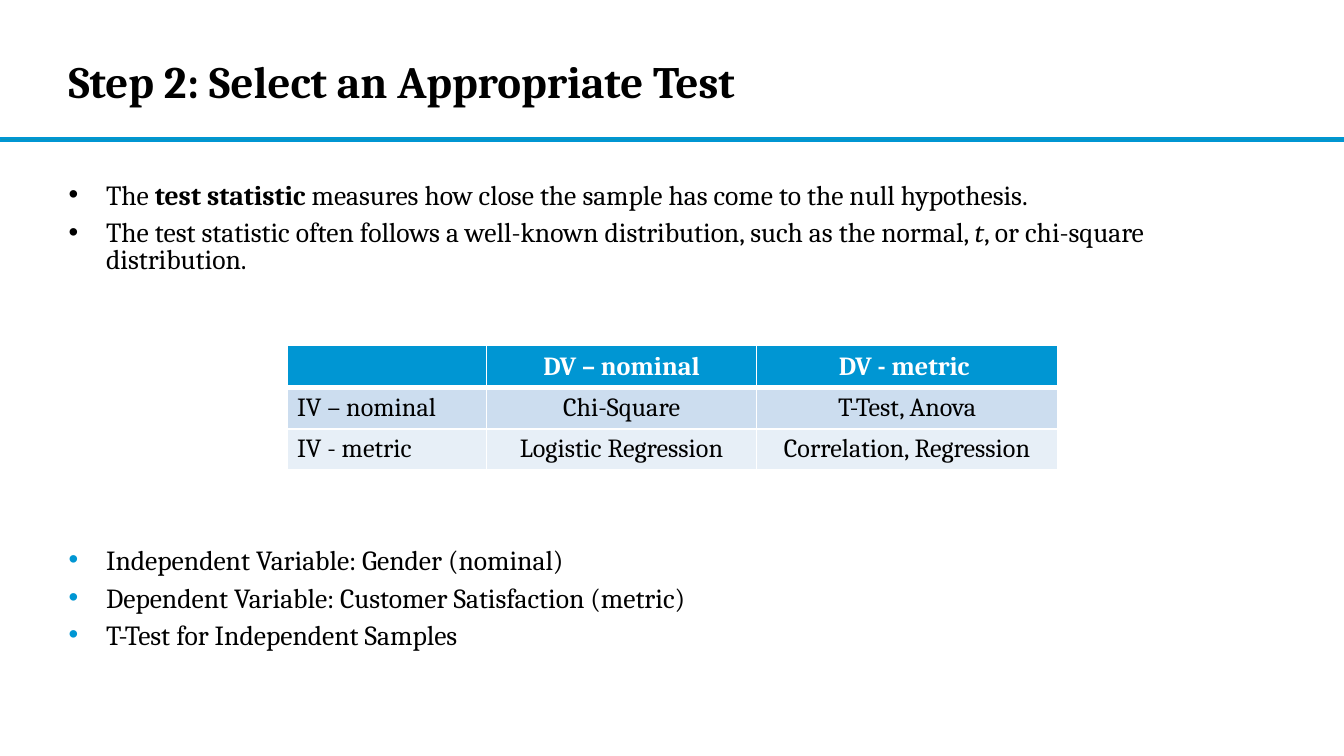
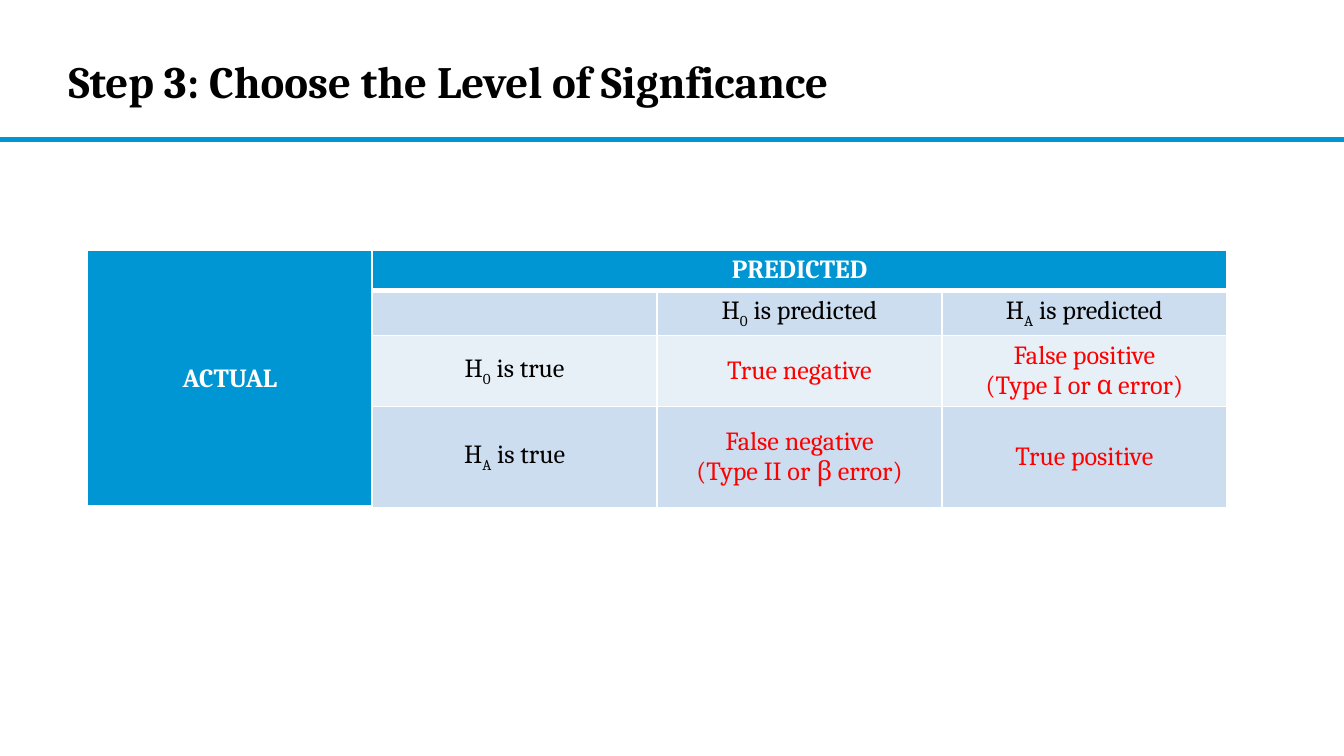
import pptx
import pptx.dml.color
import pptx.enum.shapes
import pptx.enum.text
import pptx.oxml
import pptx.oxml.ns
import pptx.util

Inches = pptx.util.Inches
Pt = pptx.util.Pt
ALIGN = pptx.enum.text.PP_ALIGN
ANCHOR = pptx.enum.text.MSO_ANCHOR

COLORS = {
    "black": "000000",
    "white": "FFFFFF",
    "accent": "0096D3",
    "rule": "0C94B7",
    "band": "CCDDEF",
    "light_band": "E7EFF7",
    "red": "FF0000",
}
TITLE = {"name": "Cambria", "size": Pt(24), "bold": True, "color": "black"}
BODY = {"name": "Cambria", "size": Pt(14.8), "color": "black"}
CELL = {"name": "Cambria", "size": Pt(14), "bold": False, "color": "black"}
HEADER = {**CELL, "bold": True, "color": "white"}
OUTCOME = {**CELL, "color": "red"}


def color(name):
    return pptx.dml.color.RGBColor.from_string(COLORS[name])


def xml(tag, body="", **attributes):
    listed = " ".join(f'{name}="{value}"' for name, value in attributes.items())
    namespace = pptx.oxml.ns.nsdecls("a")
    return pptx.oxml.parse_xml(f"<a:{tag} {namespace} {listed}>{body}</a:{tag}>")


def solid(name):
    return f'<a:solidFill><a:srgbClr val="{COLORS[name]}"/></a:solidFill>'


def hypothesis(letter, ending):
    return [("H", {}), (letter, {"baseline": -25000}), (" " + ending, {})]


class Deck:
    def __init__(self):
        self.presentation = pptx.Presentation()
        self.presentation.slide_width = Inches(10)
        self.presentation.slide_height = Inches(10 * 9 / 16)
        self.slide = None

    def add_slide(self, title):
        layout = self.presentation.slide_layouts.get_by_name("Title Only")
        self.slide = self.presentation.slides.add_slide(layout)
        self.rule()
        shape = self.slide.shapes.title
        self.place(shape, 0.51, 0.18, 7.48, 0.84)
        self.frame(shape.text_frame, ANCHOR.MIDDLE, 0)
        paragraph = shape.text_frame.paragraphs[0]
        paragraph.alignment = ALIGN.LEFT
        self.runs(paragraph, [(title, {})], TITLE)

    def place(self, shape, *box):
        for name, value in zip(("left", "top", "width", "height"), box):
            setattr(shape, name, Inches(value))

    def frame(self, text_frame, anchor, vertical):
        values = {
            "word_wrap": True,
            "auto_size": pptx.enum.text.MSO_AUTO_SIZE.NONE,
            "vertical_anchor": anchor,
            "margin_left": 0,
            "margin_right": 0,
            "margin_top": Inches(vertical),
            "margin_bottom": Inches(vertical),
        }
        for name, value in values.items():
            setattr(text_frame, name, value)

    def rule(self):
        rectangle = pptx.enum.shapes.MSO_SHAPE.RECTANGLE
        shape = self.slide.shapes.add_shape(rectangle, 0, Inches(1.03), Inches(10), Inches(0.02))
        shape.shadow.inherit = False
        shape.fill.solid()
        shape.fill.fore_color.rgb = color("rule")
        shape.line.color.rgb = color("accent")
        shape.line.width = Pt(1)

    def runs(self, paragraph, pieces, style):
        for text, changes in pieces:
            run = paragraph.add_run()
            run.text = text
            for name, value in {**style, **changes}.items():
                if name == "color":
                    run.font.color.rgb = color(value)
                elif name == "baseline":
                    run._r.get_or_add_rPr().set("baseline", str(value))
                else:
                    setattr(run.font, name, value)

    def bullets(self, box, items):
        shape = self.slide.shapes.add_textbox(*map(Inches, box))
        self.frame(shape.text_frame, ANCHOR.TOP, 0.05)
        for index, (pieces, bullet_color, space_before) in enumerate(items):
            if index:
                paragraph = shape.text_frame.add_paragraph()
            else:
                paragraph = shape.text_frame.paragraphs[0]
            values = {
                "line_spacing": 0.8,
                "space_before": Pt(space_before),
                "space_after": Pt(6),
            }
            for name, value in values.items():
                setattr(paragraph, name, value)
            properties = paragraph._p.get_or_add_pPr()
            properties.set("marL", str(Inches(0.28)))
            properties.set("indent", str(-Inches(0.28)))
            properties.append(xml("buClr", f'<a:srgbClr val="{COLORS[bullet_color]}"/>'))
            properties.append(xml("buFont", typeface="Arial"))
            properties.append(xml("buChar", char="•"))
            self.runs(paragraph, pieces, BODY)

    def table(self, box, widths, heights, rows, merges=()):
        shape = self.slide.shapes.add_table(len(heights), len(widths), *map(Inches, box))
        table = shape.table
        table.first_row = table.horz_banding = False
        for column, width in zip(table.columns, widths):
            column.width = Inches(width)
        for row, height in zip(table.rows, heights):
            row.height = Inches(height)
        for row_index, row in enumerate(rows):
            for column_index, content in enumerate(row):
                self.cell(table.cell(row_index, column_index), *content)
        for start, end in merges:
            table.cell(*start).merge(table.cell(*end))

    def cell(self, cell, lines, fill, style=CELL, anchor=ANCHOR.TOP, align=ALIGN.CENTER):
        values = {
            "vertical_anchor": anchor,
            "margin_left": Inches(0.07),
            "margin_right": Inches(0.07),
            "margin_top": Inches(0.04),
            "margin_bottom": Inches(0.04),
        }
        for name, value in values.items():
            setattr(cell, name, value)
        properties = cell._tc.get_or_add_tcPr()
        for side in "LRTB":
            width = 3 if side == "B" and fill == "accent" else 1
            properties.append(xml("ln" + side, solid("white"), w=Pt(width)))
        cell.fill.solid()
        cell.fill.fore_color.rgb = color(fill)
        for index, line in enumerate(lines):
            paragraph = cell.text_frame.add_paragraph() if index else cell.text_frame.paragraphs[0]
            paragraph.alignment = align
            self.runs(paragraph, [(line, {})] if isinstance(line, str) else line, style)
        if not lines:
            cell.text_frame.paragraphs[0]._p.append(xml("endParaRPr", sz=1400))


def select_test(deck):
    deck.add_slide("Step 2: Select an Appropriate Test")
    deck.bullets((0.51, 1.32, 8.49, 3.79), [
        ([("The ", {}), ("test statistic", {"bold": True}),
          (" measures how close the sample has come to the null hypothesis.", {})], "black", 0),
        ([("The test statistic often follows a well-known distribution, such as the normal, ", {}),
          ("t", {"italic": True}), (", or chi-square distribution.", {})], "black", 0),
        ([("Independent Variable: Gender (nominal)", {})], "accent", 141),
        ([("Dependent Variable: Customer Satisfaction (metric)", {})], "accent", 0),
        ([("T-Test for Independent Samples", {})], "accent", 0),
    ])
    header = ("accent", HEADER, ANCHOR.MIDDLE)
    label = (CELL, ANCHOR.TOP, ALIGN.LEFT)
    deck.table((2.14, 2.57, 5.73, 0.9), (1.48, 2.01, 2.24), [0.3] * 3, [
        [([], *header), (["DV – nominal"], *header), (["DV - metric "], *header)],
        [(["IV – nominal"], "band", *label), (["Chi-Square"], "band"),
         (["T-Test, Anova"], "band", CELL, ANCHOR.MIDDLE)],
        [(["IV - metric"], "light_band", *label), (["Logistic Regression"], "light_band"),
         (["Correlation, Regression"], "light_band")],
    ])


def choose_significance(deck):
    deck.add_slide("Step 3: Choose the Level of Signficance")
    blank = ([], "accent", HEADER)
    true_label = (CELL, ANCHOR.MIDDLE)
    outcome = (OUTCOME, ANCHOR.MIDDLE)
    deck.table((0.65, 1.86, 8.48, 1.88), [2.12] * 4, (0.3, 0.3, 0.53, 0.75), [
        [(["ACTUAL"], "accent", HEADER, ANCHOR.MIDDLE), (["PREDICTED"], "accent", HEADER),
         blank, blank],
        [blank, ([], "band"), ([hypothesis("0", "is predicted")], "band"),
         ([hypothesis("A", "is predicted")], "band")],
        [blank, ([hypothesis("0", "is true")], "light_band", *true_label),
         (["True negative"], "light_band", *outcome),
         (["False positive", "(Type I or α error)"], "light_band", *outcome)],
        [blank, ([hypothesis("A", "is true")], "band", *true_label),
         (["False negative", "(Type II or β error)"], "band", *outcome),
         (["True positive"], "band", *outcome)],
    ], merges=[((0, 0), (3, 0)), ((0, 1), (0, 3))])


def main():
    deck = Deck()
    select_test(deck)
    choose_significance(deck)
    deck.presentation.save("out.pptx")


if __name__ == "__main__":
    main()
